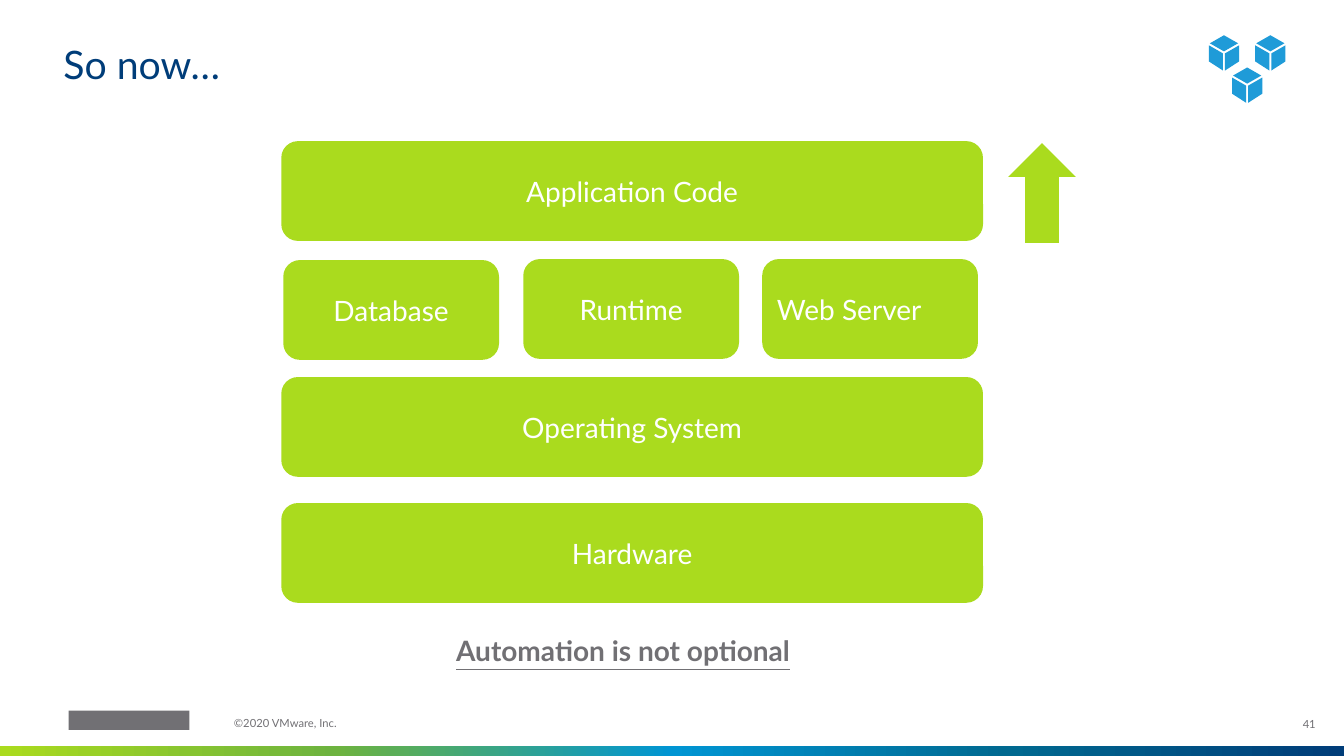
from copy import deepcopy

from pptx import Presentation
from pptx.dml.color import RGBColor
from pptx.enum.shapes import MSO_SHAPE
from pptx.enum.text import MSO_ANCHOR, PP_ALIGN
from pptx.oxml.ns import qn

LEFT, CENTER, RIGHT = PP_ALIGN.LEFT, PP_ALIGN.CENTER, PP_ALIGN.RIGHT
TOP, MIDDLE, BOTTOM = MSO_ANCHOR.TOP, MSO_ANCHOR.MIDDLE, MSO_ANCHOR.BOTTOM
RECTANGLE = MSO_SHAPE.RECTANGLE
ROUNDED = MSO_SHAPE.ROUNDED_RECTANGLE
UP_ARROW = MSO_SHAPE.UP_ARROW

PX = 9144
GREEN, NAVY, GRAY, BLUE, WHITE = "AADB1E", "003D79", "717074", "1F9BD8", "FFFFFF"


def add_block(kind, box, color):
    shape = slide.shapes.add_shape(kind, *[value * PX for value in box])
    shape.shadow.inherit = False
    shape.fill.solid()
    shape.fill.fore_color.rgb = RGBColor.from_string(color)
    shape.line.fill.background()
    return shape


def write(shape, text, size, color, align, anchor, margins, spacing=1.0):
    frame = shape.text_frame
    frame.text = text
    frame.word_wrap = True
    frame.vertical_anchor = anchor
    frame.margin_left = frame.margin_right = margins[0] * PX
    frame.margin_top = frame.margin_bottom = margins[1] * PX
    paragraph = frame.paragraphs[0]
    paragraph.alignment = align
    paragraph.line_spacing = spacing
    font = paragraph.runs[0].font
    font.name = "Lato"
    font.size = size * 12700
    font.color.rgb = RGBColor.from_string(color)
    return font


presentation = Presentation()
presentation.slide_width = 1333 * PX
presentation.slide_height = 750 * PX
slide = presentation.slides.add_slide(presentation.slide_layouts[6])

footer_bar = add_block(RECTANGLE, (0, 740, 1333, 10), GREEN)
footer_bar.fill.gradient()
footer_bar.fill.gradient_angle = 0
stop_list = footer_bar.element.spPr.find(qn("a:gradFill")).find(qn("a:gsLst"))
for _ in range(3):
    stop_list.append(deepcopy(stop_list[0]))
bar_colors = [GREEN, "6DB33F", "0095D3", "006990", NAVY]
for index, (stop, color) in enumerate(zip(footer_bar.fill.gradient_stops, bar_colors)):
    stop.position = index / 4
    stop.color.rgb = RGBColor.from_string(color)

add_block(RECTANGLE, (68, 705, 120, 19), GRAY)

for text, box, size, color, align, anchor in [
    ("41", (1257, 699, 48, 40), 8, GRAY, RIGHT, MIDDLE),
    ("©2020 VMware, Inc.", (232, 712, 215, 16), 8, GRAY, LEFT, TOP),
    ("So now…", (63, 45, 1203, 42), 28, NAVY, LEFT, BOTTOM),
]:
    label = slide.shapes.add_textbox(*[value * PX for value in box])
    write(label, text, size, color, align, anchor, (0, 0), 0.9)

for text, left, top, width, align in [
    ("Application Code", 279, 140, 696, CENTER),
    ("Database", 281, 258, 214, CENTER),
    ("Runtime", 519, 257, 214, CENTER),
    ("Web Server", 756, 257, 214, LEFT),
    ("Operating System", 279, 374, 696, CENTER),
    ("Hardware", 279, 499, 696, CENTER),
]:
    layer = add_block(ROUNDED, (left, top, width, 99), GREEN)
    write(layer, text, 20, WHITE, align, MIDDLE, (10, 10))

conclusion = slide.shapes.add_textbox(112 * PX, 624 * PX, 1012 * PX, 67 * PX)
conclusion_font = write(
    conclusion, "Automation is not optional", 20, GRAY, CENTER, TOP, (10, 5)
)
conclusion_font.bold = True
conclusion_font.underline = True

add_block(UP_ARROW, (1000, 142, 67, 99), GREEN)

cube_faces = [
    [(0, 0), (-14, 8), (0, 16), (14, 8)],
    [(-15, 10), (-15, 26), (-1, 35), (-1, 18)],
    [(15, 10), (1, 18), (1, 35), (15, 26)],
]
cube_tops = [(1214, 35), (1260, 35), (1237, 67)]
outlines = [
    [(left + x, top + y) for x, y in face]
    for left, top in cube_tops
    for face in cube_faces
]
builder = slide.shapes.build_freeform(*outlines[0][0], scale=PX)
builder.add_line_segments(outlines[0][1:])
for outline in outlines[1:]:
    builder.move_to(*outline[0])
    builder.add_line_segments(outline[1:])
cubes = builder.convert_to_shape()
cubes.shadow.inherit = False
cubes.fill.solid()
cubes.fill.fore_color.rgb = RGBColor.from_string(BLUE)
cubes.line.fill.background()

presentation.save("out.pptx")
